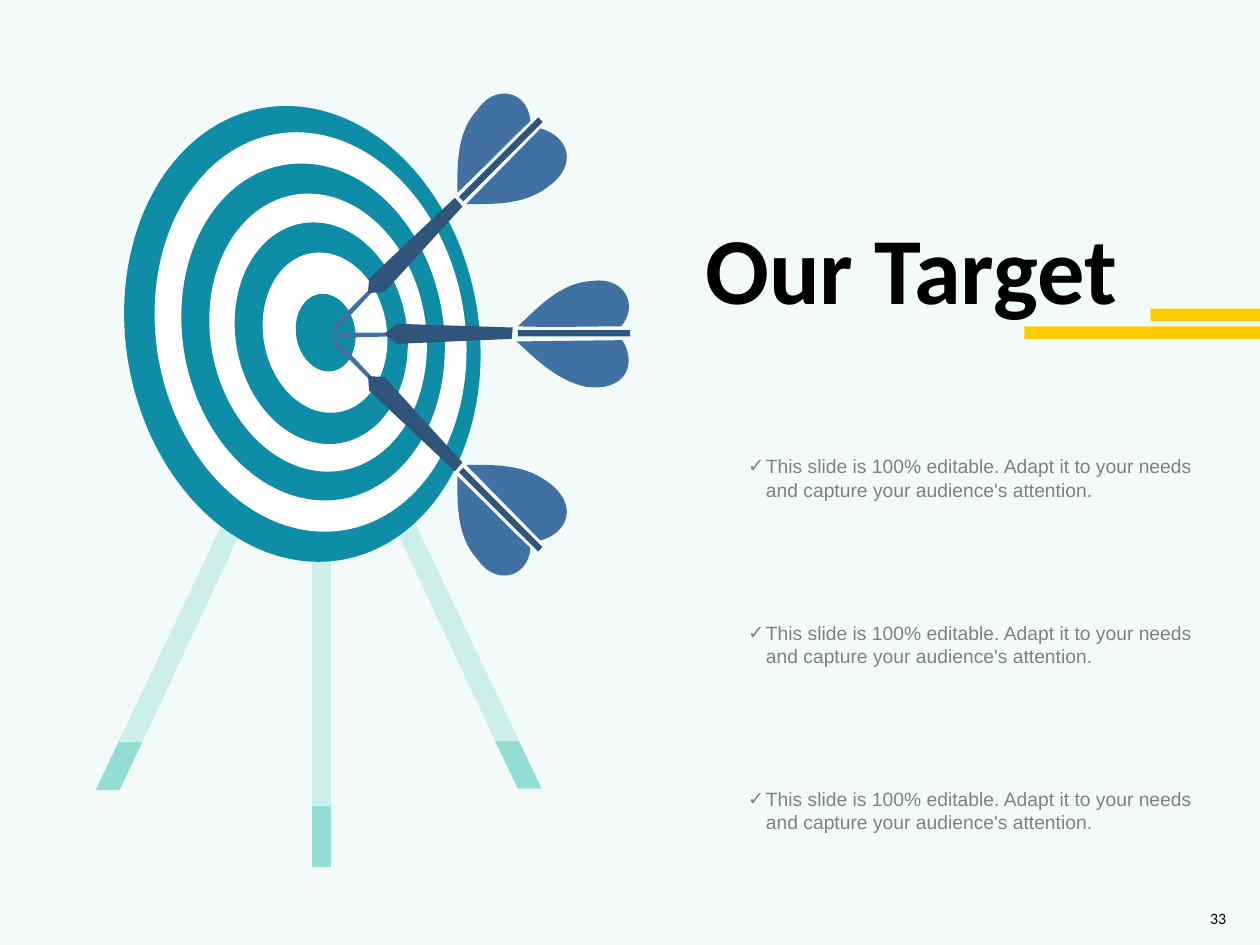
"""Build the "Our Target" slide: a dartboard on an easel with three darts and three points."""
import math

import pptx
import pptx.dml.color
import pptx.enum.shapes
import pptx.enum.text
import pptx.oxml.ns
import pptx.util
from lxml import etree

RGBColor = pptx.dml.color.RGBColor
Inches = pptx.util.Inches
Pt = pptx.util.Pt
MSO_SHAPE = pptx.enum.shapes.MSO_SHAPE
PP_ALIGN = pptx.enum.text.PP_ALIGN
MSO_ANCHOR = pptx.enum.text.MSO_ANCHOR
qn = pptx.oxml.ns.qn

PALE = RGBColor(0xF2, 0xFB, 0xFA)
MINT = RGBColor(0xCC, 0xEF, 0xEC)
FOOT = RGBColor(0x94, 0xDE, 0xD6)
TEAL = RGBColor(0x0F, 0x8C, 0xA6)
WHITE = RGBColor(0xFF, 0xFF, 0xFF)
BLUE = RGBColor(0x41, 0x70, 0xA3)
NAVY = RGBColor(0x31, 0x54, 0x7A)
YELLOW = RGBColor(0xFF, 0xCC, 0x00)
GREY = RGBColor(0x80, 0x80, 0x80)
BLACK = RGBColor(0x00, 0x00, 0x00)

BOARD_TILT = 350
MIRROR_SUM = 5.31

LEGS = [
    (FOOT, (0.76, 5.89, 0.37, 0.38), [(0.94, 5.89), (1.13, 5.89), (0.95, 6.27), (0.76, 6.27)]),
    (MINT, (0.94, 4.05, 1.05, 1.84), [(1.99, 4.05), (1.13, 5.89), (0.94, 5.89), (1.81, 4.06)]),
    (FOOT, (2.48, 6.4, 0.15, 0.48), [(2.48, 6.4), (2.63, 6.4), (2.63, 6.88), (2.48, 6.88)]),
    (MINT, (2.48, 4.21, 0.15, 2.19), [(2.48, 4.21), (2.63, 4.21), (2.63, 6.4), (2.48, 6.4)]),
    (FOOT, (3.93, 5.88, 0.37, 0.38), [(3.93, 5.88), (4.12, 5.88), (4.3, 6.26), (4.11, 6.26)]),
    (MINT, (3.07, 4.05, 1.05, 1.83), [(3.07, 4.05), (3.25, 4.06), (4.12, 5.88), (3.93, 5.88)]),
]
RINGS = [
    (1, 0.83, 2.8, 3.64),
    (1.24, 1.04, 2.45, 3.19),
    (1.45, 1.29, 2.07, 2.69),
    (1.67, 1.53, 1.71, 2.22),
    (1.87, 1.76, 1.36, 1.77),
    (2.09, 2, 0.98, 1.28),
    (2.35, 2.33, 0.47, 0.62),
]
LEVEL_DART = [
    (BLUE, (4.2, 2.48, 0.79, 0.6), 45,
     [(4.1, 2.71), (4.94, 2.7), (5.06, 2.9, 4.96, 3.11, 4.65, 3.07),
      (4.42, 3.02, 4.25, 2.85, 4.1, 2.71)]),
    (BLUE, (2.85, 2.41, 0.04, 0.5), 90,
     [(2.62, 2.66), (2.7, 2.64), (3.12, 2.64), (3.12, 2.67), (2.7, 2.68)]),
    (BLUE, (4.37, 1.97, 0.38, 0.88), 271.6,
     [(4.11, 2.59), (4.27, 2.44, 4.45, 2.24, 4.7, 2.23),
      (4.94, 2.19, 5.08, 2.41, 4.93, 2.59), (4.64, 2.59, 4.41, 2.6, 4.11, 2.59)]),
    (NAVY, (3.48, 2.15, 0.16, 1.02), 90.4,
     [(4.07, 2.6), (4.06, 2.69), (3.15, 2.73),
      (3.11, 2.7, 3.09, 2.68, 3.05, 2.65), (3.15, 2.57)]),
]
LOWER_DART = [
    (BLUE, (2.78, 2.59, 0.04, 0.5), 315,
     [(2.62, 2.67), (2.66, 2.74), (2.96, 3.04), (2.98, 3.02), (2.69, 2.71)]),
    (BLUE, (3.63, 3.78, 0.38, 0.88), 133.4,
     [(3.63, 3.78), (3.63, 3.99, 3.62, 4.26, 3.79, 4.44),
      (3.93, 4.65, 4.19, 4.59, 4.21, 4.35), (4, 4.15, 3.84, 3.98, 3.63, 3.78)]),
    (NAVY, (3.21, 2.83, 0.16, 1.02), 314.6,
     [(3.61, 3.74), (3.67, 3.67), (3.05, 2.99),
      (3, 2.99, 2.97, 2.99, 2.92, 2.98), (2.93, 3.1)]),
    (BLUE, (3.7, 3.69, 0.79, 0.6), 0,
     [(3.7, 3.69), (4.29, 4.29), (4.51, 4.23, 4.6, 4, 4.34, 3.82),
      (4.15, 3.68, 3.91, 3.69, 3.7, 3.69)]),
]
POINT = "This slide is 100% editable. Adapt it to your needs and capture your audience's attention."


def mirror(dart):
    """Return the dart reflected top to bottom about the bullseye."""
    return [(color, (x, MIRROR_SUM - y - h, w, h), -angle % 360,
             [tuple(MIRROR_SUM - v if i % 2 else v for i, v in enumerate(step))
              for step in steps])
            for color, (x, y, w, h), angle, steps in dart]


def unrotate(point, box, angle):
    """Return the point turned back by the angle about the middle of the box."""
    x, y, w, h = box
    cx, cy = x + w / 2, y + h / 2
    dx, dy = point[0] - cx, point[1] - cy
    cos, sin = math.cos(math.radians(angle)), math.sin(math.radians(angle))
    return Inches(cx + dx * cos + dy * sin), Inches(cy - dx * sin + dy * cos)


def write(tf, text, size=11, font="Arial", color=BLACK, bold=False,
          align=PP_ALIGN.LEFT, bullet=None):
    """Fill a text frame with one formatted paragraph."""
    p = tf.paragraphs[0]
    if bullet:
        pPr = p._p.get_or_add_pPr()
        pPr.set("marL", str(Inches(0.14)))
        pPr.set("indent", str(Inches(-0.14)))
        etree.SubElement(pPr, qn("a:buFont")).set("typeface", font)
        etree.SubElement(pPr, qn("a:buChar")).set("char", bullet)
    p.alignment = align
    r = p.add_run()
    r.text = text
    r.font.size = Pt(size)
    r.font.name = font
    r.font.bold = bold
    r.font.color.rgb = color


class Deck:
    """Hold the style and the current slide."""

    def __init__(self, prs):
        """Add a blank slide with the pale background."""
        self.s = prs.slides.add_slide(prs.slide_layouts[6])
        self.s.background.fill.solid()
        self.s.background.fill.fore_color.rgb = PALE

    def paint(self, sp, color):
        """Give a shape a flat fill without line or shadow."""
        sp.shadow.inherit = False
        sp.fill.solid()
        sp.fill.fore_color.rgb = color
        sp.line.fill.background()

    def shape(self, kind, box, color, rotation=0):
        """Add a preset shape."""
        sp = self.s.shapes.add_shape(kind, *map(Inches, box))
        sp.rotation = rotation
        self.paint(sp, color)

    def outline(self, color, box, angle, steps):
        """Add a closed freeform whose six-number steps are cubic curves."""
        points = [unrotate(step[i:i + 2], box, angle)
                  for step in steps for i in range(0, len(step), 2)]
        builder = self.s.shapes.build_freeform(*points[0])
        builder.add_line_segments(points[1:], close=True)
        sp = builder.convert_to_shape()
        sp.left, sp.top, sp.width, sp.height = map(Inches, box)
        path = sp._element.find(".//" + qn("a:path"))
        path.set("w", str(sp.width))
        path.set("h", str(sp.height))
        for pt, (x, y) in zip(path.iter(qn("a:pt")), points):
            pt.set("x", str(x - sp.left))
            pt.set("y", str(y - sp.top))
        lines = iter(path.findall(qn("a:lnTo")))
        for step in steps[1:]:
            line = next(lines)
            if len(step) == 6:
                curve = etree.Element(qn("a:cubicBezTo"))
                path.replace(line, curve)
                curve.append(line[0])
                for _ in range(2):
                    extra = next(lines)
                    curve.append(extra[0])
                    path.remove(extra)
        sp.rotation = angle
        self.paint(sp, color)

    def text(self, box, text, anchor=MSO_ANCHOR.TOP, **style):
        """Add a wrapping text box."""
        tf = self.s.shapes.add_textbox(*map(Inches, box)).text_frame
        tf.word_wrap = True
        tf.vertical_anchor = anchor
        write(tf, text, **style)


def main():
    """Draw the slide and save it."""
    prs = pptx.Presentation()
    prs.slide_width, prs.slide_height = Inches(10), Inches(7.5)
    deck = Deck(prs)

    for color, box, steps in LEGS:
        deck.outline(color, box, 0, steps)
    for i, box in enumerate(RINGS):
        deck.shape(MSO_SHAPE.OVAL, box, WHITE if i % 2 else TEAL, BOARD_TILT)

    darts = [
        (LEVEL_DART, (4.53, 2.2, 0.05, 0.89), 90),
        (LOWER_DART, (3.95, 3.6, 0.05, 0.89), 315),
        (mirror(LOWER_DART), (3.95, 0.82, 0.05, 0.89), 45),
    ]
    for parts, shaft, angle in darts:
        for part in parts:
            deck.outline(*part)
        deck.shape(MSO_SHAPE.RECTANGLE, shaft, NAVY, angle)

    for i in range(3):
        deck.text((5.84, 3.56 + i * 1.32, 3.74, 0.47), POINT, color=GREY, bullet="✓")
    deck.text((5.5, 1.62, 4.03, 1.01), "Our Target", size=54, font="Calibri", bold=True)
    for box in [(8.13, 2.59, 1.87, 0.1), (9.13, 2.45, 0.87, 0.1)]:
        deck.shape(MSO_SHAPE.RECTANGLE, box, YELLOW)
    deck.text((9.46, 7.2, 0.37, 0.18), "33", anchor=MSO_ANCHOR.MIDDLE,
              size=9, font="Calibri", align=PP_ALIGN.RIGHT)
    prs.save("out.pptx")


if __name__ == "__main__":
    main()
